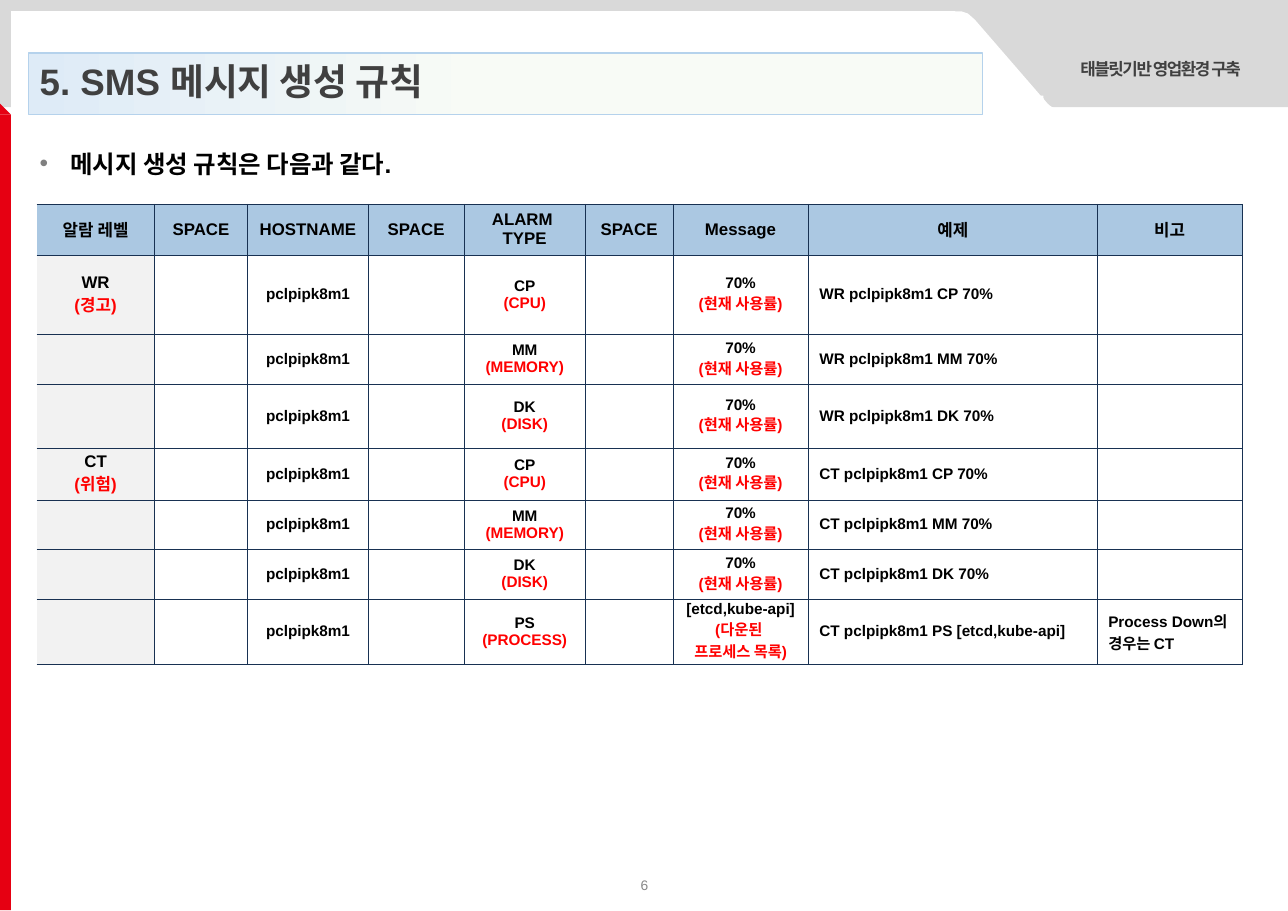
from lxml import etree
from pptx import Presentation
from pptx.dml.color import RGBColor
from pptx.enum.shapes import MSO_SHAPE
from pptx.enum.text import MSO_ANCHOR, MSO_AUTO_SIZE, PP_ALIGN
from pptx.oxml import parse_xml
from pptx.oxml.ns import nsdecls, qn
from pptx.util import Pt

LEFT, CENTER, RIGHT = PP_ALIGN.LEFT, PP_ALIGN.CENTER, PP_ALIGN.RIGHT
MIDDLE, TOP = MSO_ANCHOR.MIDDLE, MSO_ANCHOR.TOP
RECTANGLE, TRIANGLE, ARC = MSO_SHAPE.RECTANGLE, MSO_SHAPE.RIGHT_TRIANGLE, MSO_SHAPE.ARC
FIXED_SIZE, GROW = MSO_AUTO_SIZE.NONE, MSO_AUTO_SIZE.SHAPE_TO_FIT_TEXT

COLORS = {
    "band": "D9D9D9", "white": "FFFFFF", "accent": "E60012", "black": "000000",
    "heading": "404040", "page": "888888", "bullet": "808080", "alert": "FF0000",
    "title_left": "DEEBF7", "title_right": "F8FBF6", "title_line": "B5D2EC",
    "header": "ABC8E2", "level": "F2F2F2", "border": "183152",
}


def rgb(name):
    return RGBColor.from_string(COLORS[name])


def write(paragraph, text, size, color, bold=True, **formats):
    """Add one run and apply paragraph formats such as alignment."""
    run = paragraph.add_run()
    run.text = text
    for key, value in {"name": "Arial", "size": Pt(size), "bold": bold}.items():
        setattr(run.font, key, value)
    run.font.color.rgb = rgb(color)
    for key, value in formats.items():
        setattr(paragraph, key, value)
    return run


presentation = Presentation()
presentation.slide_width, presentation.slide_height = Pt(841.68), Pt(595.44)
slide = presentation.slides.add_slide(presentation.slide_layouts[1])
shapes = slide.shapes
title, rule_list = shapes.title, slide.placeholders[1]

# Page frame
top_band = shapes.add_shape(RECTANGLE, Pt(0), Pt(-5), Pt(842), Pt(75))
panel_outline = [(619, 7.2), (628.5, 7.5), (632.5, 8.8), (637.2, 13),
                 (692.6, 77), (692.6, 94.3), (7.2, 94.3)]
panel_builder = shapes.build_freeform(Pt(7.2), Pt(7.2))
panel_builder.add_line_segments([(Pt(x), Pt(y)) for x, y in panel_outline])
panel = panel_builder.convert_to_shape()
side_bar = shapes.add_shape(RECTANGLE, Pt(0), Pt(75), Pt(7.2), Pt(520))
side_tip = shapes.add_shape(TRIANGLE, Pt(0), Pt(67.8), Pt(7.2), Pt(7.2))
for part, color in ((top_band, "band"), (panel, "white"),
                    (side_bar, "accent"), (side_tip, "accent")):
    part.shadow.inherit = False
    part.fill.solid()
    part.fill.fore_color.rgb = rgb(color)
    part.line.fill.background()

corner_arc = shapes.add_shape(ARC, Pt(689), Pt(36.7), Pt(30.2), Pt(54.7))
corner_arc.shadow.inherit = False
corner_arc.rotation = 92.6
corner_arc.element.spPr.find(qn("a:xfrm")).set("flipV", "1")
corner_arc.fill.background()
corner_arc.line.color.rgb = rgb("white")
corner_arc.line.width = Pt(10)

page_number = shapes.add_textbox(Pt(324.7), Pt(562.3), Pt(193), Pt(32.4)).text_frame
page_number.word_wrap = True
page_number.vertical_anchor = MIDDLE
write(page_number.paragraphs[0], "6", 9, "page", bold=False, alignment=CENTER)

project = shapes.add_textbox(Pt(686.2), Pt(34.6), Pt(131.8), Pt(20.9)).text_frame
project.word_wrap = False
project.auto_size = GROW
project_run = write(project.paragraphs[0], "태블릿기반 영업환경 구축", 11, "heading",
                    alignment=RIGHT)
project_run.font._element.set("spc", "-100")

# Title and list, drawn above the frame
for placeholder, place in ((title, (18.7, 34.6, 623.5, 40.3)),
                           (rule_list, (18.7, 93.6, 838.8, 22.3))):
    for side, length in zip(("left", "top", "width", "height"), place):
        setattr(placeholder, side, Pt(length))
    placeholder.text_frame.auto_size = FIXED_SIZE
    placeholder.text_frame.word_wrap = True
    placeholder.element.getparent().append(placeholder.element)

title.fill.gradient()
title.fill.gradient_angle = 180
for stop, position, color in zip(title.fill.gradient_stops, (0.52, 1),
                                 ("title_right", "title_left")):
    stop.position = position
    stop.color.rgb = rgb(color)
title.line.color.rgb = rgb("title_line")
title.line.width = Pt(0.75)
title.text_frame.vertical_anchor = MIDDLE
write(title.text_frame.paragraphs[0], "5. SMS 메시지 생성 규칙", 24, "heading",
      alignment=LEFT, line_spacing=0.9)

rule_list.text_frame.vertical_anchor = TOP
rule = rule_list.text_frame.paragraphs[0]
write(rule, "메시지 생성 규칙은 다음과 같다.", 16, "black",
      alignment=LEFT, space_before=Pt(3.2), space_after=Pt(8))
rule_format = rule._p.get_or_add_pPr()
rule_format.set("marL", str(Pt(20)))
rule_format.set("indent", str(Pt(-20)))
bullet_color = etree.SubElement(rule_format, qn("a:buClr"))
etree.SubElement(bullet_color, qn("a:srgbClr"), val=COLORS["bullet"])
etree.SubElement(rule_format, qn("a:buChar"), char="•")

# Message table
HEADER = ["알람 레벨", "SPACE", "HOSTNAME", "SPACE", "ALARM \nTYPE", "SPACE",
          "Message", "예제", "비고"]
HOST = "pclpipk8m1"
USAGE = ("70%", "(현재 사용률)")
PROCESSES = ("[etcd,kube-api]", "(다운된 \n프로세스 목록)")
ALARMS = [
    ("WR", "(경고)", "CP", "(CPU)", USAGE, ""),
    ("WR", "", "MM", "(MEMORY)", USAGE, ""),
    ("WR", "", "DK", "(DISK)", USAGE, ""),
    ("CT", "(위험)", "CP", "(CPU)", USAGE, ""),
    ("CT", "", "MM", "(MEMORY)", USAGE, ""),
    ("CT", "", "DK", "(DISK)", USAGE, ""),
    ("CT", "", "PS", "(PROCESS)", PROCESSES, "Process Down의 경우는 CT"),
]
COLUMN_WIDTHS = [77, 60.8, 79, 62.4, 79.5, 57, 88.7, 188.8, 94.4]
ROW_HEIGHTS = [33.4, 51.6, 32.6, 41.8, 34, 32.2, 32.6, 43]
EXAMPLE_COLUMN = 7

rows = [HEADER]
for level, meaning, kind, kind_name, (value, value_note), remark in ALARMS:
    rows.append([f"{level}\n{meaning}" if meaning else "", "", HOST, "",
                 f"{kind}\n{kind_name}", "", f"{value}\n{value_note}",
                 f"{level} {HOST} {kind} {value}", remark])

message_table = shapes.add_table(len(rows), len(HEADER), Pt(24), Pt(133.3),
                                 Pt(sum(COLUMN_WIDTHS)), Pt(sum(ROW_HEIGHTS))).table
message_table.first_row = message_table.horz_banding = False
for column, width in zip(message_table.columns, COLUMN_WIDTHS):
    column.width = Pt(width)
for row, height in zip(message_table.rows, ROW_HEIGHTS):
    row.height = Pt(height)

border_fill = f'<a:solidFill><a:srgbClr val="{COLORS["border"]}"/></a:solidFill>'
for r, row_texts in enumerate(rows):
    for c, cell_text in enumerate(row_texts):
        cell = message_table.cell(r, c)
        cell.vertical_anchor = MIDDLE
        cell.margin_top = cell.margin_bottom = Pt(1.5)
        for edge in "LRTB":
            line_fill = "<a:noFill/>" if edge == "L" and c == 0 else border_fill
            cell._tc.get_or_add_tcPr().append(parse_xml(
                f'<a:ln{edge} {nsdecls("a")} w="{Pt(0.25)}">{line_fill}</a:ln{edge}>'))
        cell.fill.solid()
        cell.fill.fore_color.rgb = rgb(
            "header" if r == 0 else "level" if c == 0 else "white")
        if not cell_text:
            continue
        for i, line_text in enumerate(cell_text.split("\n")):
            frame = cell.text_frame
            paragraph = frame.add_paragraph() if i else frame.paragraphs[0]
            write(paragraph, line_text, 11 if r == 0 or c == 0 else 10,
                  "alert" if r and i else "black",
                  alignment=LEFT if r and c >= EXAMPLE_COLUMN else CENTER)

presentation.save("out.pptx")
